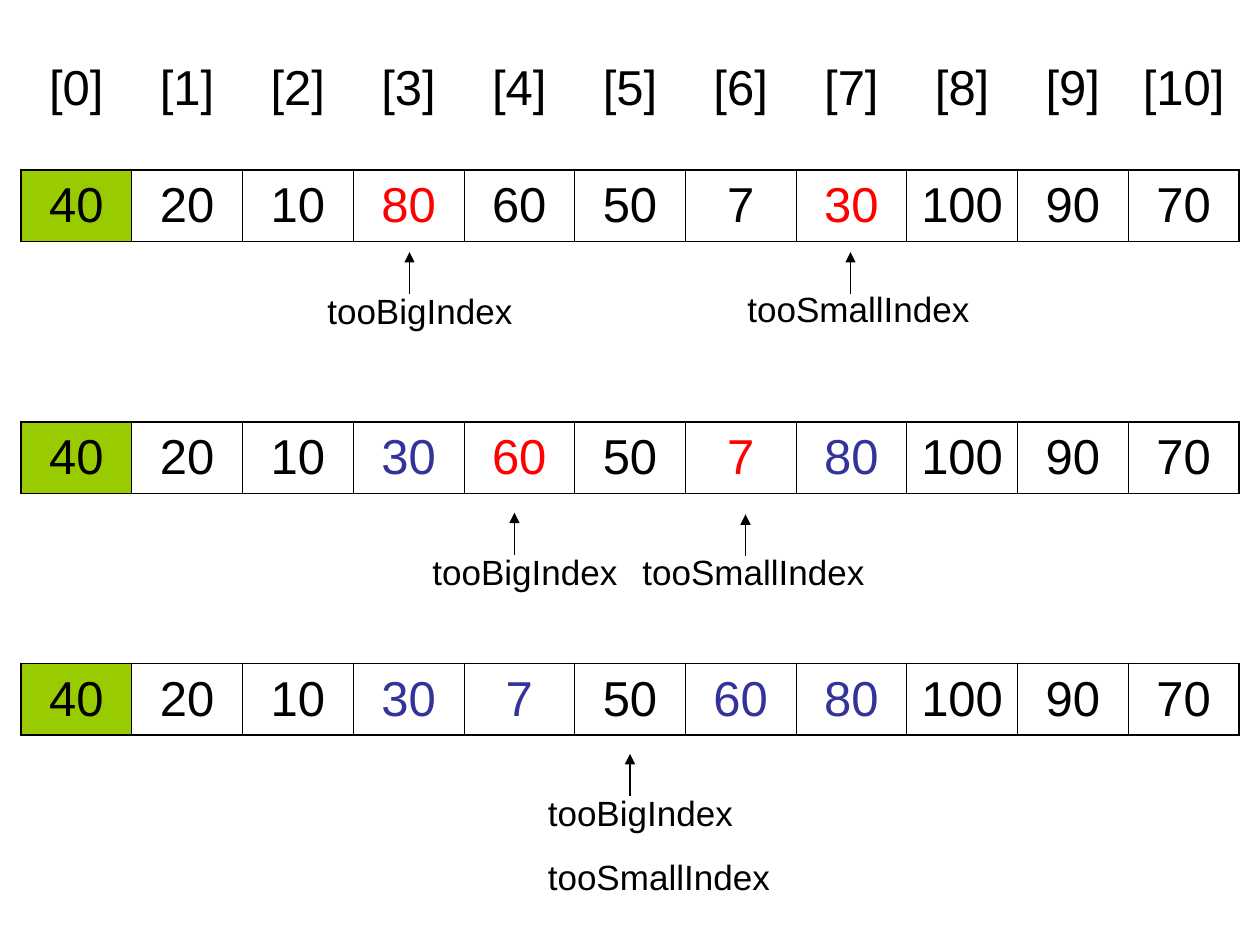
"""Build a slide tracing the partition step of quicksort across three array states."""
from dataclasses import dataclass, field

from pptx import Presentation
from pptx.dml.color import RGBColor
from pptx.enum.shapes import MSO_CONNECTOR
from pptx.enum.text import MSO_ANCHOR, MSO_AUTO_SIZE, PP_ALIGN
from pptx.oxml.ns import qn
from pptx.util import Pt
from lxml import etree

STRAIGHT = MSO_CONNECTOR.STRAIGHT
MIDDLE = MSO_ANCHOR.MIDDLE
FIT_SHAPE = MSO_AUTO_SIZE.SHAPE_TO_FIT_TEXT
CENTER, LEFT = PP_ALIGN.CENTER, PP_ALIGN.LEFT

COLORS = {"ink": "000000", "pivot": "99CC00", "pending": "FF0000", "swapped": "333399"}
FONT = "Arial"
TABLE_LEFT, TABLE_WIDTH, ROW_HEIGHT = 12, 696, 41
OUTER, INNER = 1.08, 0.45
ARROW_LENGTH = 24
BIG, SMALL = "tooBigIndex", "tooSmallIndex"


@dataclass
class ArrayRow:
    top: float
    values: list[str]
    highlights: dict[int, str] = field(default_factory=dict)
    framed: bool = True


@dataclass
class Pointer:
    x: float
    tip: float


@dataclass
class Label:
    left: float
    top: float
    width: float
    height: float
    lines: list[str]


ROWS = [
    ArrayRow(97, "40 20 10 80 60 50 7 30 100 90 70".split(),
             {3: "pending", 7: "pending"}),
    ArrayRow(30, [f"[{index}]" for index in range(11)], framed=False),
    ArrayRow(241, "40 20 10 30 60 50 7 80 100 90 70".split(),
             {3: "swapped", 4: "pending", 6: "pending", 7: "swapped"}),
    ArrayRow(379.2, "40 20 10 30 7 50 60 80 100 90 70".split(),
             {3: "swapped", 4: "swapped", 6: "swapped", 7: "swapped"}),
]
POINTERS = [Pointer(234, 144), Pointer(486, 144), Pointer(294, 293),
            Pointer(426, 294), Pointer(360, 430.8)]
LABELS = [
    Label(180, 162, 144, 31.5, [BIG]),
    Label(420, 160.8, 168, 31.5, [SMALL]),
    Label(240, 311, 144, 31.5, [BIG]),
    Label(360, 311, 168, 31.5, [SMALL]),
    Label(306, 448.8, 144, 67.5, [BIG, SMALL]),
]


def rgb(name: str) -> RGBColor:
    """Return the named palette colour."""
    return RGBColor.from_string(COLORS[name])


def write(para, text: str, size: float, color: str, before: float, align) -> None:
    """Add one formatted run to a paragraph."""
    para.alignment = align
    para.space_before = Pt(before)
    span = para.add_run()
    span.text = text
    span.font.name = FONT
    span.font.size = Pt(size)
    span.font.color.rgb = rgb(color)


def set_borders(cell, widths: dict[str, float]) -> None:
    """Give each side of a cell a solid line, or none at width zero."""
    properties = cell._tc.get_or_add_tcPr()
    for position, (side, width) in enumerate(widths.items()):
        line = etree.Element(qn(f"a:ln{side}"), w=str(int(Pt(width))))
        if width:
            fill = etree.SubElement(line, qn("a:solidFill"))
            etree.SubElement(fill, qn("a:srgbClr"), val=COLORS["ink"])
        else:
            etree.SubElement(line, qn("a:noFill"))
        properties.insert(position, line)


def draw_row(page, row: ArrayRow) -> None:
    """Draw one array as a single-row table."""
    count = len(row.values)
    table = page.shapes.add_table(1, count, Pt(TABLE_LEFT), Pt(row.top),
                                  Pt(TABLE_WIDTH), Pt(ROW_HEIGHT)).table
    table.first_row = False
    table.horz_banding = False
    outer, inner = (OUTER, INNER) if row.framed else (0, 0)
    for index, value in enumerate(row.values):
        table.columns[index].width = Pt(TABLE_WIDTH / count)
        cell = table.cell(0, index)
        cell.vertical_anchor = MIDDLE
        if row.framed and index == 0:
            cell.fill.solid()
            cell.fill.fore_color.rgb = rgb("pivot")
        else:
            cell.fill.background()
        set_borders(cell, {"L": outer if index == 0 else inner,
                           "R": outer if index == count - 1 else inner,
                           "T": outer, "B": outer})
        write(cell.text_frame.paragraphs[0], value, 28,
              row.highlights.get(index, "ink"), 7, CENTER)


def draw_pointer(page, pointer: Pointer) -> None:
    """Draw an upward arrow ending at the pointer tip."""
    arrow = page.shapes.add_connector(STRAIGHT, Pt(pointer.x), Pt(pointer.tip + ARROW_LENGTH),
                                      Pt(pointer.x), Pt(pointer.tip))
    arrow.line.color.rgb = rgb("ink")
    arrow.line.width = Pt(0.75)
    etree.SubElement(arrow.line._get_or_add_ln(), qn("a:tailEnd"), type="triangle")
    etree.SubElement(arrow._element.spPr, qn("a:effectLst"))


def draw_label(page, label: Label) -> None:
    """Draw a text box with one paragraph per line."""
    box = page.shapes.add_textbox(Pt(label.left), Pt(label.top),
                                  Pt(label.width), Pt(label.height))
    frame = box.text_frame
    frame.word_wrap = True
    frame.auto_size = FIT_SHAPE
    for index, text in enumerate(label.lines):
        para = frame.add_paragraph() if index else frame.paragraphs[0]
        write(para, text, 20, "ink", 12.5, LEFT)


def main() -> None:
    """Assemble and save the deck."""
    deck = Presentation()
    deck.slide_width, deck.slide_height = Pt(720), Pt(540)
    page = deck.slides.add_slide(deck.slide_layouts[6])
    for row in ROWS:
        draw_row(page, row)
    for label in LABELS:
        draw_label(page, label)
    for pointer in POINTERS:
        draw_pointer(page, pointer)
    deck.save("out.pptx")


if __name__ == "__main__":
    main()
